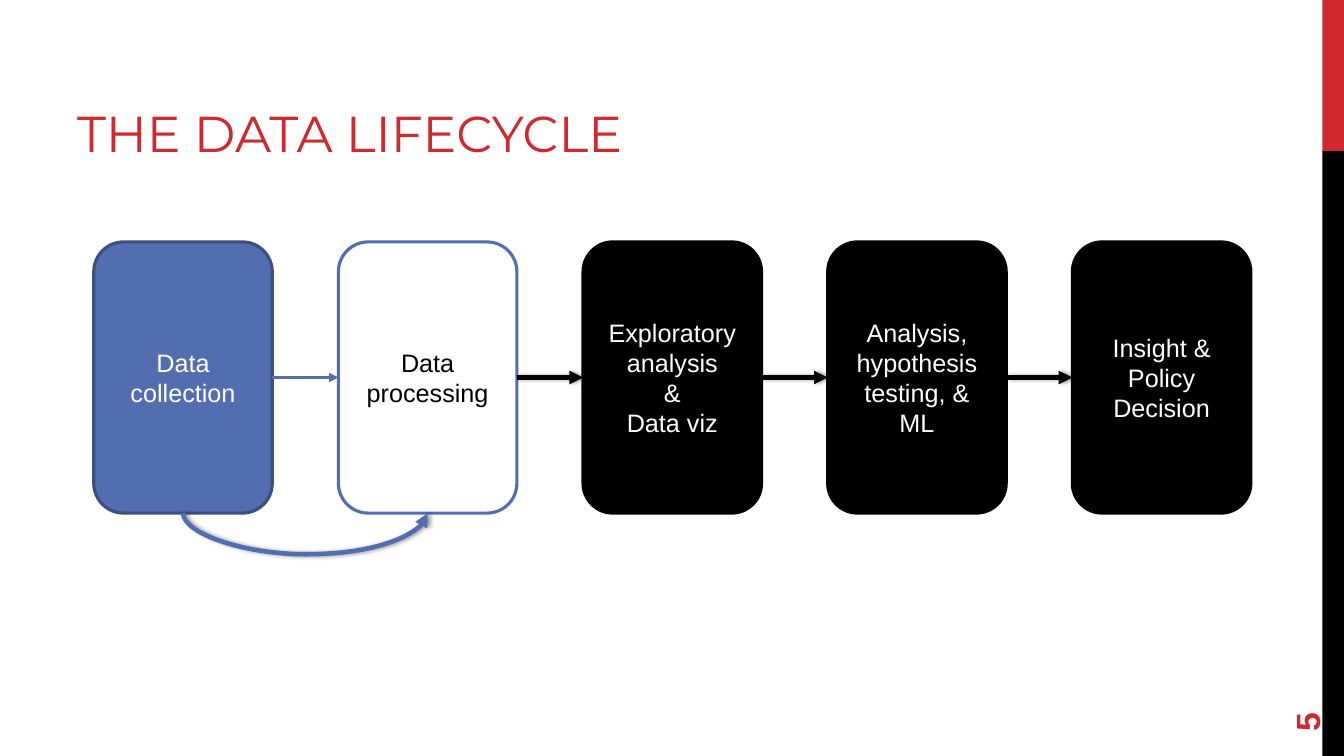
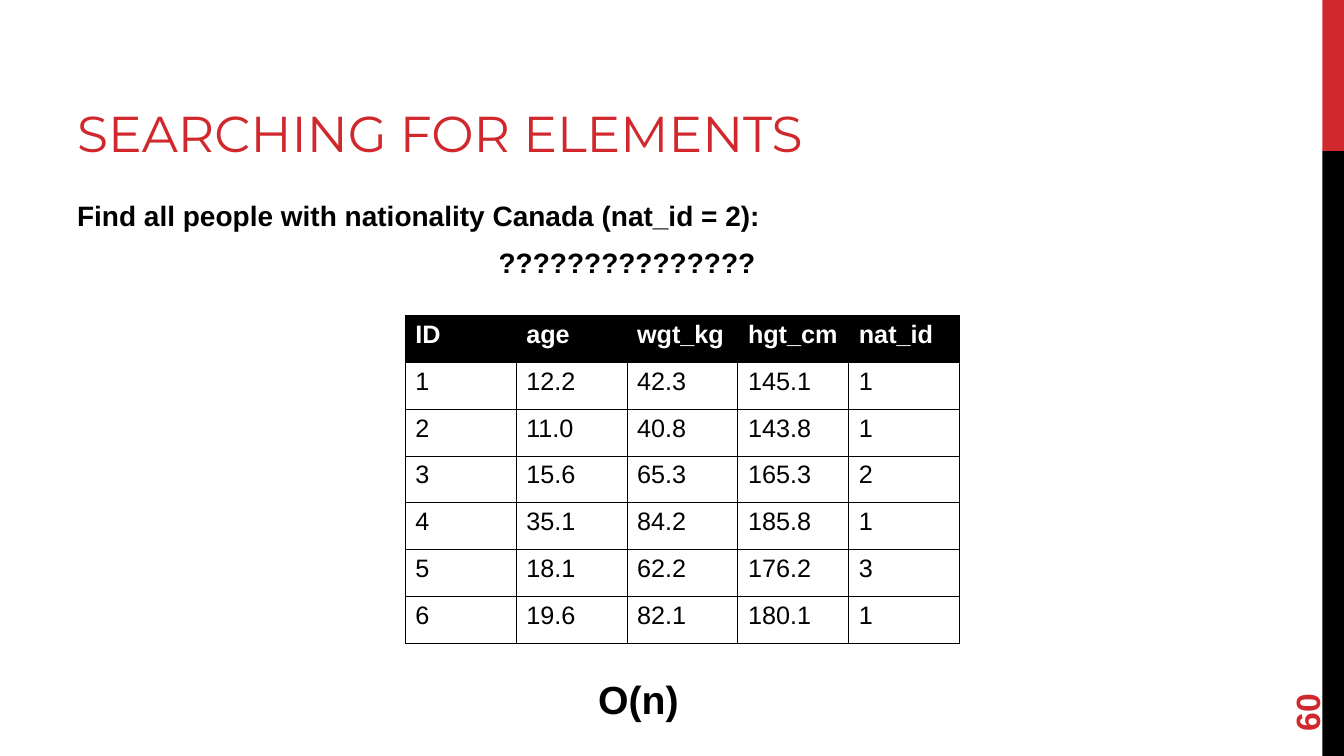
import pptx
import pptx.dml.color
import pptx.enum.shapes
import pptx.enum.text
import pptx.oxml
import pptx.oxml.ns
import pptx.util
from lxml import etree

Pt = pptx.util.Pt
SHAPE = pptx.enum.shapes.MSO_SHAPE
CONNECTOR = pptx.enum.shapes.MSO_CONNECTOR
ALIGN = pptx.enum.text.PP_ALIGN
ANCHOR = pptx.enum.text.MSO_ANCHOR
qn = pptx.oxml.ns.qn

COLORS = {
    "red": "D1282E",
    "black": "000000",
    "white": "FFFFFF",
    "blue": "526DB0",
    "navy": "3B4F80",
}
BODY_FONT = "Arial"
TITLE_FONT = "Montserrat"
PAGE_WIDTH, PAGE_HEIGHT = 960, 540

# text, fill, outline, text colour
STAGES = [
    (["Data collection"], "blue", "navy", "white"),
    (["Data processing"], "white", "blue", "black"),
    (["Exploratory analysis", "&", "Data viz"], "black", "black", "white"),
    (["Analysis, hypothesis testing, & ML"], "black", "black", "white"),
    (["Insight & Policy Decision"], "black", "black", "white"),
]

PEOPLE = [
    ("ID", "age", "wgt_kg", "hgt_cm", "nat_id"),
    ("1", "12.2", "42.3", "145.1", "1"),
    ("2", "11.0", "40.8", "143.8", "1"),
    ("3", "15.6", "65.3", "165.3", "2"),
    ("4", "35.1", "84.2", "185.8", "1"),
    ("5", "18.1", "62.2", "176.2", "3"),
    ("6", "19.6", "82.1", "180.1", "1"),
]


def points(*lengths):
    return [Pt(length) for length in lengths]


def rgb(name):
    return pptx.dml.color.RGBColor.from_string(COLORS[name])


def paint(fill, color):
    fill.solid()
    fill.fore_color.rgb = rgb(color)


def write(frame, lines, size, color, bold=False, font=BODY_FONT,
          align=ALIGN.LEFT, anchor=ANCHOR.TOP):
    frame.word_wrap = True
    frame.vertical_anchor = anchor
    frame.text = "\n".join(lines)
    for para in frame.paragraphs:
        para.alignment = align
        para.font.size = Pt(size)
        para.font.name = font
        para.font.bold = bold
        para.font.color.rgb = rgb(color)


def add_text(page, box, lines, size, color, **style):
    shape = page.shapes.add_textbox(*points(*box))
    write(shape.text_frame, lines, size, color, **style)
    return shape


def add_block(page, preset, box, fill, outline=None):
    block = page.shapes.add_shape(preset, *points(*box))
    block.shadow.inherit = False
    paint(block.fill, fill)
    if outline:
        block.line.color.rgb = rgb(outline)
        block.line.width = Pt(2.25)
    else:
        block.line.fill.background()
    return block


def add_page(deck, title, number):
    """Add a page with the side bands, title and page number."""
    page = deck.slides.add_slide(deck.slide_layouts[6])
    band_left, red_height = 944.6, 108
    band_width = PAGE_WIDTH - band_left
    add_block(page, SHAPE.RECTANGLE, (band_left, 0, band_width, red_height), "red")
    add_block(page, SHAPE.RECTANGLE,
              (band_left, red_height, band_width, PAGE_HEIGHT - red_height), "black")
    add_text(page, (48, 12, 608, 108), [title], 36, "red",
             font=TITLE_FONT, anchor=ANCHOR.BOTTOM)
    page_number = add_text(page, (881.5, 458.5, 103.5, 38), [str(number)], 24, "red",
                           bold=True, anchor=ANCHOR.MIDDLE)
    page_number.rotation = 270
    return page


def join(page, kind, start, start_site, end, end_site, color, width, shadow):
    """Draw an arrow between connection sites of two shapes."""
    arrow = page.shapes.add_connector(kind, 0, 0, 0, 0)
    arrow.begin_connect(start, start_site)
    arrow.end_connect(end, end_site)
    arrow.line.color.rgb = rgb(color)
    arrow.line.width = Pt(width)
    etree.SubElement(arrow.line._get_or_add_ln(), qn("a:tailEnd"), type="triangle")
    effects = etree.SubElement(arrow._element.spPr, qn("a:effectLst"))
    if shadow:
        outer = etree.SubElement(effects, qn("a:outerShdw"), blurRad=str(Pt(3.1)),
                                 dist=str(Pt(1.8)), dir="0", rotWithShape="0")
        tint = etree.SubElement(outer, qn("a:srgbClr"), val=COLORS["black"])
        etree.SubElement(tint, qn("a:alpha"), val="40000")
    return arrow


def add_return_arrow(page, start, end, depth):
    """Curve from the bottom of start back to the bottom of end, dipping by depth."""
    arrow = join(page, CONNECTOR.CURVE, start, 2, end, 2, "blue", 3.25, True)
    thickness = 0.1
    span = start.left - end.left
    arrow.left = end.left + end.width // 2 + span // 2
    arrow.top = end.top + end.height - span // 2
    arrow.width, arrow.height = Pt(thickness), span
    frame = arrow._element.spPr.xfrm
    frame.flipH = False
    frame.rot = 90
    adjustments = arrow._element.spPr.prstGeom.get_or_add_avLst()
    etree.SubElement(adjustments, qn("a:gd"), name="adj1",
                     fmla=f"val {round(depth / thickness * 100000)}")


def add_lifecycle(page, box):
    left, top, width, height = box
    stage_width = 127.5
    pitch = (width - stage_width) / (len(STAGES) - 1)
    stages = []
    for index, (lines, fill, outline, color) in enumerate(STAGES):
        stage = add_block(page, SHAPE.ROUNDED_RECTANGLE,
                          (left + index * pitch, top, stage_width, height), fill, outline)
        write(stage.text_frame, lines, 18, color,
              align=ALIGN.CENTER, anchor=ANCHOR.MIDDLE)
        stages.append(stage)
    for index, (start, end) in enumerate(zip(stages, stages[1:])):
        color, weight = ("black", 3.25) if index else ("blue", 2.25)
        join(page, CONNECTOR.STRAIGHT, start, 3, end, 1, color, weight, index > 0)
    add_return_arrow(page, stages[1], stages[0], 26)


def outline_cell(cell):
    properties = cell._tc.get_or_add_tcPr()
    for position, side in enumerate(("lnL", "lnR", "lnT", "lnB")):
        border = etree.Element(qn(f"a:{side}"), w=str(Pt(0.75)))
        fill = etree.SubElement(border, qn("a:solidFill"))
        etree.SubElement(fill, qn("a:srgbClr"), val=COLORS["black"])
        properties.insert(position, border)


def add_people_table(page, box):
    table = page.shapes.add_table(len(PEOPLE), len(PEOPLE[0]), *points(*box)).table
    table.first_row = table.horz_banding = False
    for row_index, values in enumerate(PEOPLE):
        header = row_index == 0
        for column_index, value in enumerate(values):
            cell = table.cell(row_index, column_index)
            write(cell.text_frame, [value], 18, "white" if header else "black", header)
            if header:
                paint(cell.fill, "black")
            else:
                cell.fill.background()
            outline_cell(cell)


def build_lifecycle_page(deck):
    page = add_page(deck, "THE DATA LIFECYCLE", 5)
    add_lifecycle(page, (67, 172.8, 826.5, 193.7))


def build_search_page(deck):
    page = add_page(deck, "SEARCHING FOR ELEMENTS", 60)
    question = add_text(page, (48, 138, 800, 344),
                        ["Find all people with nationality Canada (nat_id = 2):",
                         "???????????????"], 20, "black", bold=True)
    answer = question.text_frame.paragraphs[1]
    answer.alignment = ALIGN.CENTER
    answer.space_before = Pt(10)
    add_people_table(page, (289.5, 225.5, 396, 234))
    add_text(page, (411, 479, 90, 41), ["O(n)"], 28, "black",
             bold=True, align=ALIGN.CENTER)


def main():
    deck = pptx.Presentation()
    deck.slide_width, deck.slide_height = points(PAGE_WIDTH, PAGE_HEIGHT)
    build_lifecycle_page(deck)
    build_search_page(deck)
    deck.save("out.pptx")


if __name__ == "__main__":
    main()
